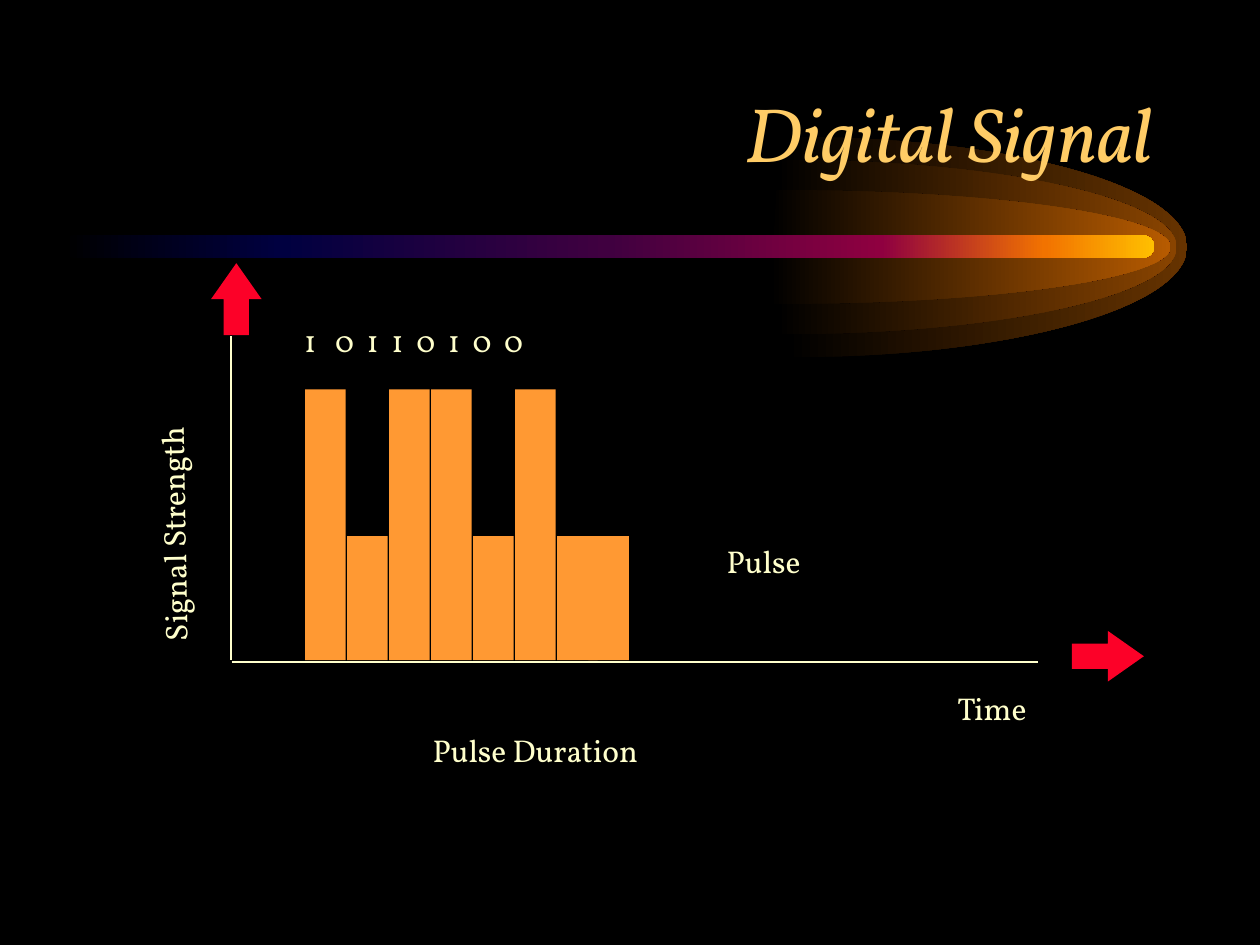
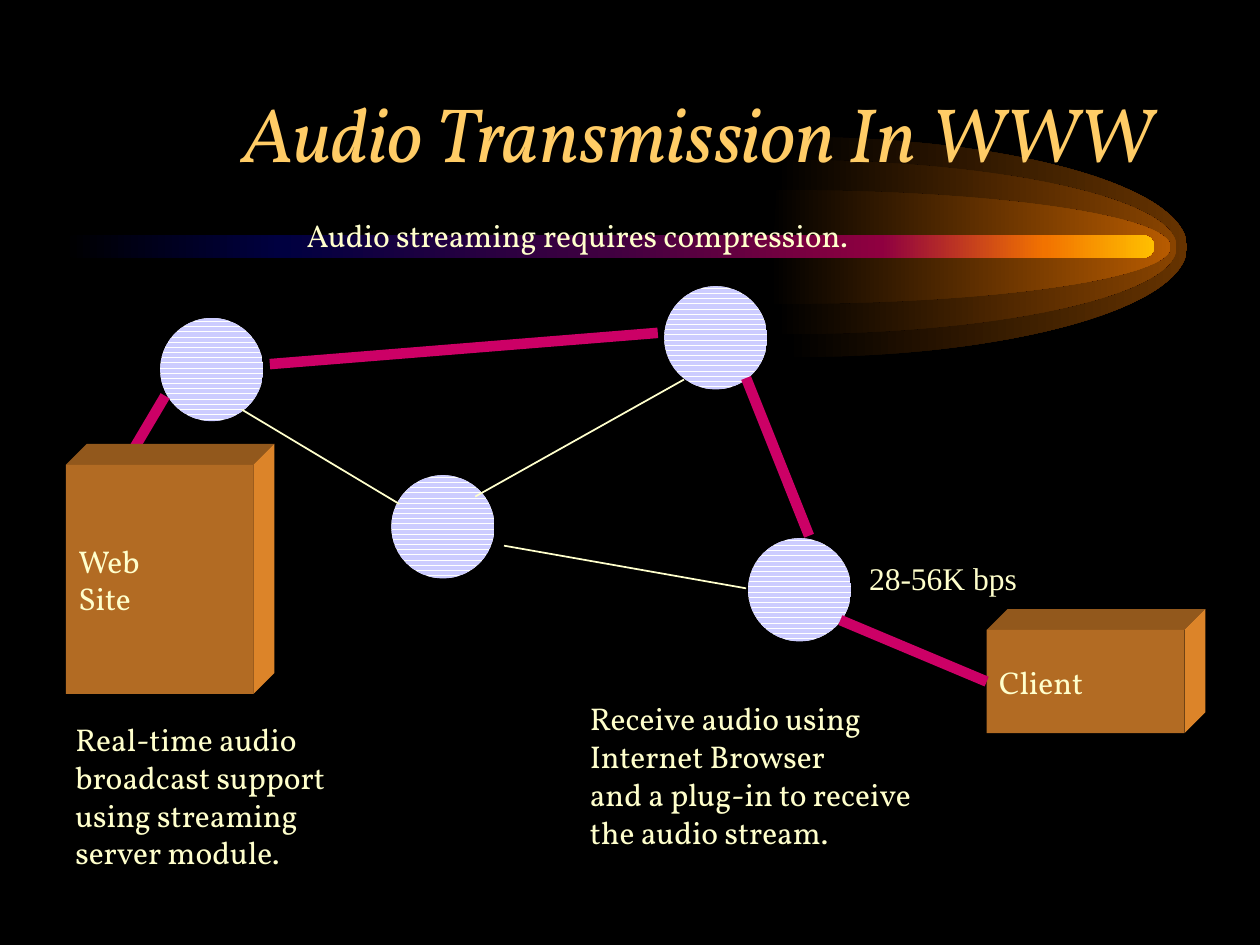
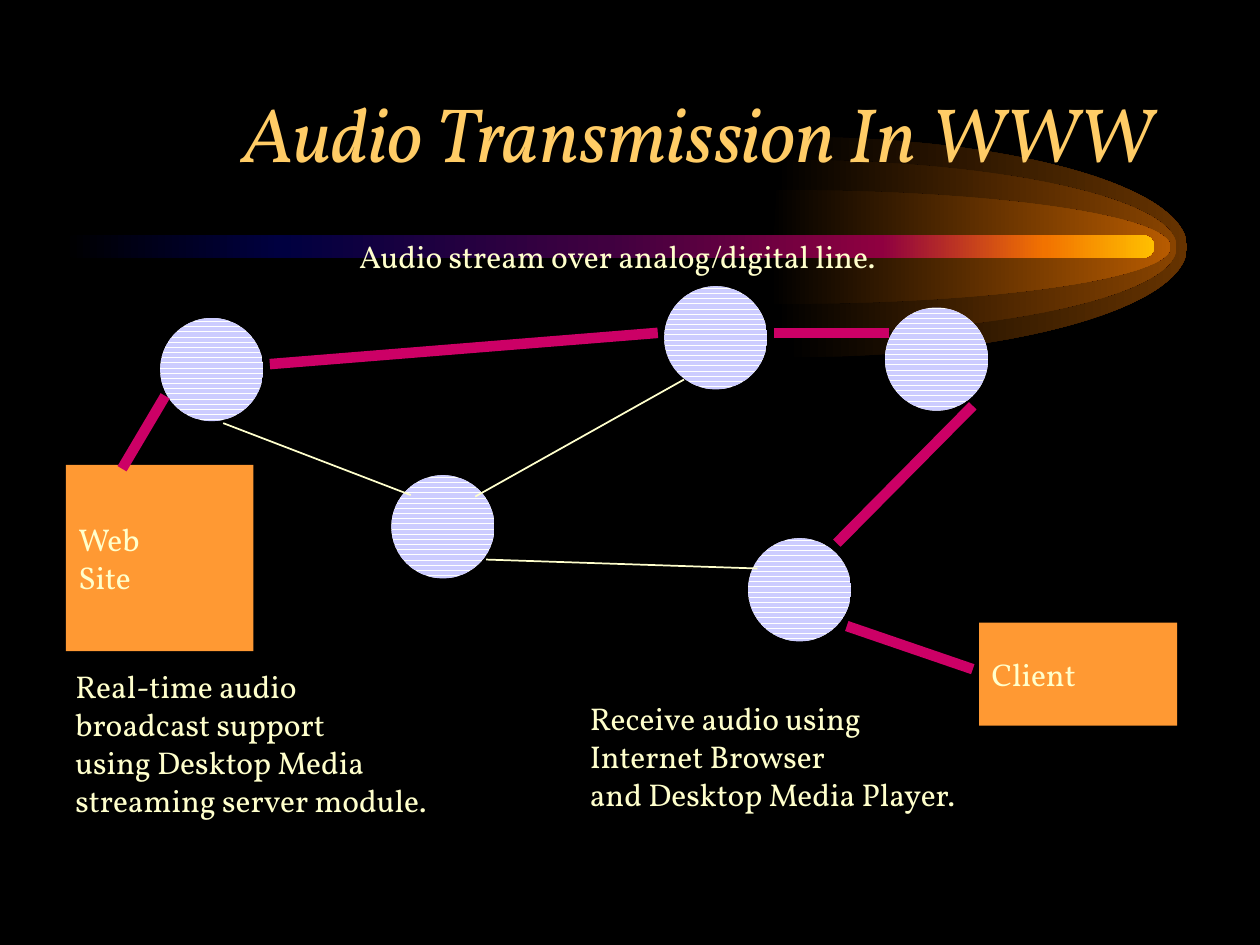
from dataclasses import dataclass

from lxml.etree import SubElement
from pptx import Presentation
from pptx.dml.color import RGBColor as Rgb
from pptx.enum.dml import MSO_PATTERN as Pattern
from pptx.enum.shapes import MSO_CONNECTOR as Wire, MSO_SHAPE as Form
from pptx.enum.text import MSO_ANCHOR as Anchor, MSO_AUTO_SIZE as Fit, PP_ALIGN as Align
from pptx.oxml.ns import qn
from pptx.util import Cm, Pt

# Shared look
HUES = {
    "back": "000000", "title": "FFCC66", "text": "FFFFCC", "box": "FF9933",
    "hot": "CC0066", "arrow": "FC0128", "node": "CCCCFF", "white": "FFFFFF",
    "front": "B26B23", "top": "92581C", "side": "DC8429",
}
FONT = "Vollkorn"
NODE = 2.08    # node diameter
DEPTH = 0.42   # depth of a solid box
LEFT = 1       # connection site


@dataclass(frozen=True)
class Label:
    text: str
    x: float
    y: float
    wide: float
    high: float = 1.27
    turn: float = 0
    font: str = FONT
    middle: bool = False


@dataclass(frozen=True)
class Node:
    x: float
    y: float


@dataclass(frozen=True)
class Link:
    x1: float
    y1: float
    x2: float
    y2: float
    hot: bool = False
    join: str = ""


@dataclass(frozen=True)
class Box:
    text: str
    x: float
    y: float
    wide: float
    high: float
    solid: bool = False


@dataclass(frozen=True)
class Glow:
    right: float
    ry: float
    hue: str


def tint(name: str) -> Rgb:
    return Rgb.from_string(HUES[name])


def plain(shape) -> None:
    """Remove the default outline and shadow."""
    shape.shadow.inherit = False
    shape.line.fill.background()


def paint(shape, hue: str) -> None:
    plain(shape)
    shape.fill.solid()
    shape.fill.fore_color.rgb = tint(hue)


def blend(shape, stops: list[tuple[int, str]]) -> None:
    """Fill with a left-to-right gradient."""
    plain(shape)
    shape.fill.gradient()
    shape.fill.gradient_angle = 0
    stop_list = shape.element.spPr.find(qn("a:gradFill")).find(qn("a:gsLst"))
    stop_list.clear()
    for spot, hue in stops:
        stop = SubElement(stop_list, qn("a:gs"), pos=str(spot * 1000))
        SubElement(stop, qn("a:srgbClr"), val=hue)


def block(slide, form, x: float, y: float, wide: float, high: float):
    return slide.shapes.add_shape(form, Cm(x), Cm(y), Cm(wide), Cm(high))


def outline(slide, points: list[tuple[float, float]]):
    first, *rest = [(Cm(x), Cm(y)) for x, y in points]
    pen = slide.shapes.build_freeform(*first)
    pen.add_line_segments(rest, close=True)
    return pen.convert_to_shape()


def style(frame, size: int, hue: str, font: str = FONT, slant: bool = False,
          align=Align.LEFT) -> None:
    for para in frame.paragraphs:
        para.alignment = align
        for run in para.runs:
            run.font.size = Pt(size)
            run.font.name = font
            run.font.italic = slant
            run.font.color.rgb = tint(hue)


# Drawing of each kind of element
def add_label(slide, item: Label):
    box = slide.shapes.add_textbox(Cm(item.x), Cm(item.y), Cm(item.wide), Cm(item.high))
    box.rotation = item.turn
    frame = box.text_frame
    frame.word_wrap = True
    frame.vertical_anchor = Anchor.MIDDLE if item.middle else Anchor.TOP
    frame.text = item.text
    style(frame, 18, "text", item.font)
    return box


def add_node(slide, item: Node):
    disc = block(slide, Form.OVAL, item.x, item.y, NODE, NODE)
    plain(disc)
    disc.fill.patterned()
    disc.fill.pattern = Pattern.DARK_HORIZONTAL
    disc.fill.fore_color.rgb = tint("node")
    disc.fill.back_color.rgb = tint("white")
    return disc


def add_link(slide, item: Link):
    line = slide.shapes.add_connector(
        Wire.STRAIGHT, Cm(item.x1), Cm(item.y1), Cm(item.x2), Cm(item.y2))
    line.line.width = Pt(6 if item.hot else 1)
    line.line.color.rgb = tint("hot" if item.hot else "text")
    SubElement(line.element.spPr, qn("a:effectLst"))
    return line


def add_box(slide, item: Box):
    x, y, right, base = item.x, item.y, item.x + item.wide, item.y + item.high
    if item.solid:
        corner = (right + DEPTH, y - DEPTH)
        paint(outline(slide, [(x, y), (x + DEPTH, y - DEPTH), corner, (right, y)]), "top")
        paint(outline(slide, [(right, y), corner, (right + DEPTH, base - DEPTH),
                              (right, base)]), "side")
    face = block(slide, Form.RECTANGLE, x, y, item.wide, item.high)
    paint(face, "front" if item.solid else "box")
    frame = face.text_frame
    frame.vertical_anchor = Anchor.MIDDLE
    frame.text = item.text
    style(frame, 18, "text")
    return face


DRAW = {Label: add_label, Node: add_node, Link: add_link, Box: add_box}


def draw(slide, items: list) -> None:
    """Draw from back to front, joining links to the boxes they name."""
    boxes = {}
    for item in items:
        shape = DRAW[type(item)](slide, item)
        if isinstance(item, Box):
            boxes[item.text] = shape
        elif isinstance(item, Link) and item.join:
            shape.end_connect(boxes[item.join], LEFT)


def add_page(deck, title: str):
    slide = deck.slides.add_slide(deck.slide_layouts[5])
    head = slide.shapes.title
    head.left, head.top, head.width, head.height = Cm(1.91), Cm(1.07), Cm(21.59), Cm(3.18)
    frame = head.text_frame
    frame.text = title
    frame.auto_size = Fit.NONE
    frame.vertical_anchor = Anchor.MIDDLE
    style(frame, 44, "title", slant=True, align=Align.RIGHT)
    return slide


# Comet band, shared through the master
GLOWS = [Glow(23.93, 2.22, "663300"), Glow(23.72, 1.76, "894400"), Glow(23.6, 1.15, "B75B00")]
BAND = [(0, "000000"), (20, "000040"), (50, "400040"), (75, "8F0040"),
        (90, "F27300"), (100, "FFBF00")]


def bend(line, points: list[tuple[float, float]]) -> None:
    """Turn a straight segment into a curve."""
    line.tag = qn("a:cubicBezTo")
    line.clear()
    for x, y in points:
        SubElement(line, qn("a:pt"), x=str(round(x)), y=str(round(y)))


def add_glow(slide, glow: Glow):
    """Draw the right half of an ellipse with a short tail."""
    rx, tail, mid, pull = 7.95, 0.13, 4.98, 0.55
    x, top, base = glow.right - rx, mid - glow.ry, mid + glow.ry
    half = outline(slide, [(x, top), (glow.right, mid), (x, base), (x - tail, base)])
    upper, lower, _ = half.element.spPr.findall(".//" + qn("a:lnTo"))
    start, end, ry = Cm(tail), Cm(tail + rx), Cm(glow.ry)
    reach = start + pull * Cm(rx)
    bend(upper, [(reach, 0), (end, ry * (1 - pull)), (end, ry)])
    bend(lower, [(end, ry * (1 + pull)), (reach, 2 * ry), (start, 2 * ry)])
    blend(half, [(0, HUES["back"]), (100, glow.hue)])
    return half


def add_comet(deck, slide) -> None:
    parts = [add_glow(slide, glow) for glow in GLOWS]
    band = block(slide, Form.ROUNDED_RECTANGLE, 1.27, 4.74, 22, 0.46)
    band.adjustments[0] = 0.5
    blend(band, BAND)
    parts.append(band)
    tree = deck.slide_master.shapes.element
    for rank, part in enumerate(parts):
        part.element.nvSpPr.cNvPr.set("id", str(20 + rank))
        tree.insert(2 + rank, part.element)


# Digital signal
BITS = "10110100"
AXES = [Link(4.65, 6.78, 4.65, 13.31), Link(4.67, 13.34, 20.93, 13.34)]
NOTES = [
    Label("Pulse", 14.4, 10.8, 4.45),
    Label("Time", 19.05, 13.77, 3.81),
    Label("Signal Strength", 0.08, 9.02, 7.04, turn=269),
    Label("Pulse Duration", 8.47, 14.61, 8.26),
]


def add_bits(slide) -> None:
    """Write the bits, with a wider gap after the first."""
    row = add_label(slide, Label(BITS[0] + " ", 5.51, 6.35, 11))
    frame = row.text_frame
    frame.margin_left = Cm(0.62)
    para = frame.paragraphs[0]
    para.add_run().text = " ".join(BITS[1:])
    style(frame, 18, "text")
    for run, gap in zip(para.runs, (360, 180)):
        run.font._rPr.set("spc", str(gap))


def add_signal(slide) -> None:
    draw(slide, AXES)
    base, pitch = 13.31, 2.54 / 3
    for rank, bit in enumerate(BITS):
        x = min(6.15 + pitch * rank, 11.86)   # the last pulse overlaps its neighbour
        high = 5.46 if bit == "1" else 2.5
        paint(block(slide, Form.RECTANGLE, x, base - high, 0.82, high), "box")
    add_bits(slide)
    draw(slide, NOTES)
    for x, y, turn in [(4.04, 5.52, 270), (21.61, 12.72, 0)]:
        arrow = block(slide, Form.RIGHT_ARROW, x, y, 1.45, 1.02)
        arrow.adjustments[1] = 0.71
        arrow.rotation = turn
        paint(arrow, "arrow")


# Networks
NODES = [Node(3.23, 6.41), Node(7.89, 9.58), Node(13.39, 5.77), Node(15.08, 10.85)]
LINKS = [Link(5.44, 7.34, 13.26, 6.71, hot=True), Link(9.58, 10.01, 13.79, 7.65)]
UPLINK = Link(2.46, 9.45, 3.33, 7.98, hot=True)

STREAM = [
    *NODES, *LINKS,
    Link(10.16, 11, 15.04, 11.86),
    Link(15.04, 7.62, 16.31, 10.8, hot=True),
    Link(4.88, 8.26, 8.05, 10.16),
    Box("Client", 19.89, 12.7, 3.99, 2.08, solid=True),
    UPLINK,
    Link(16.94, 12.5, 19.89, 13.74, hot=True, join="Client"),
    Label("Receive audio using\nInternet Browser\nand a plug-in to receive\n"
          "the audio stream.", 11.64, 13.97, 9.58, 4.29),
    Label("Audio streaming requires compression.", 5.93, 4.24, 15.34),
    Label("Real-time audio\nbroadcast support\nusing streaming\nserver module.",
          1.27, 14.39, 7.32, 4.29),
    Label("28-56K bps", 17.27, 11.01, 4.5, font="Times New Roman", middle=True),
    Box("Web\nSite", 1.33, 9.37, 3.78, 4.62, solid=True),
]

PHONE = [
    *NODES, Node(17.84, 6.2), *LINKS,
    Link(15.6, 6.71, 17.93, 6.71, hot=True),
    Link(9.8, 11.28, 15.27, 11.46),
    Link(19.61, 8.18, 16.87, 10.95, hot=True),
    Link(4.5, 8.53, 8.28, 9.98),
    Box("Client", 19.74, 12.55, 3.99, 2.08),
    Box("Web\nSite", 1.33, 9.37, 3.78, 3.76),
    UPLINK,
    Link(17.07, 12.62, 19.61, 13.49, hot=True),
    Label("Receive audio using\nInternet Browser\nand Desktop Media Player.",
          11.64, 13.97, 11.2, 3.3),
    Label("Audio stream over analog/digital line.", 6.99, 4.65, 15.04),
    Label("Real-time audio\nbroadcast support\nusing Desktop Media\n"
          "streaming server module.", 1.27, 13.33, 10.11, 4.29),
]


def main() -> None:
    deck = Presentation()
    deck.slide_width, deck.slide_height = Cm(25.4), Cm(19.05)
    fill = deck.slide_master.background.fill
    fill.solid()
    fill.fore_color.rgb = tint("back")

    signal = add_page(deck, "Digital Signal")
    add_comet(deck, signal)
    add_signal(signal)
    for items in (STREAM, PHONE):
        draw(add_page(deck, "Audio Transmission In WWW"), items)
    deck.save("out.pptx")


if __name__ == "__main__":
    main()
